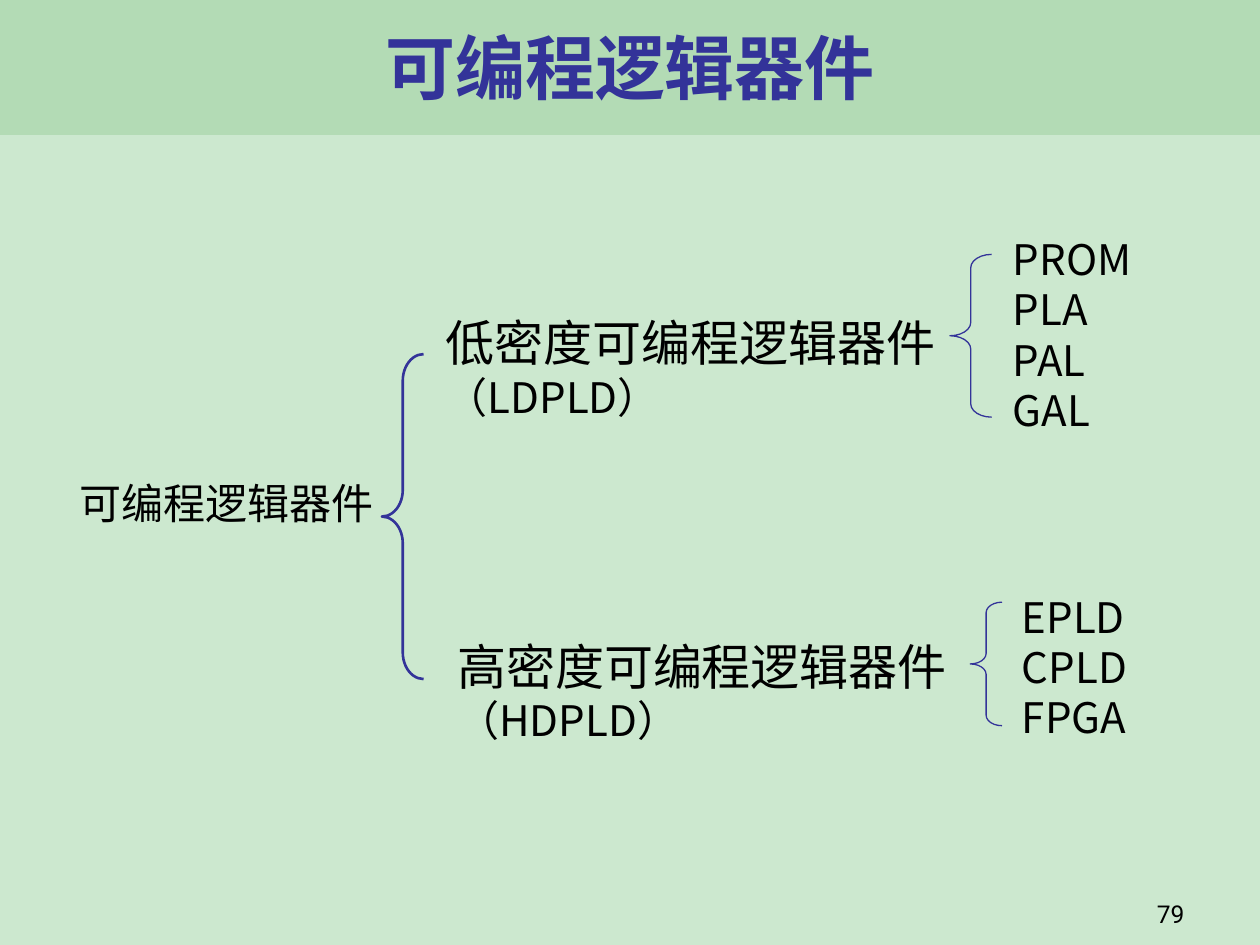
from lxml.etree import SubElement
from pptx import Presentation
from pptx.dml.color import RGBColor
from pptx.enum.shapes import MSO_SHAPE
from pptx.enum.text import MSO_ANCHOR, PP_ALIGN
from pptx.oxml.ns import qn
from pptx.util import Cm, Pt

theme = {
    "back": RGBColor.from_string("CCE8CF"),
    "band": RGBColor.from_string("B3DBB5"),
    "blue": RGBColor.from_string("333399"),
    "ink": RGBColor.from_string("000000"),
    "head": 40, "large": 28, "base": 24, "small": 14,
    "sans": "Noto Sans CJK SC", "serif": "Times New Roman", "page": "Roboto",
}


def style(para, size, face, color, align, bold=False):
    para.alignment = align
    for run in para.runs:
        form = {"size": Pt(size), "name": face, "bold": bold}
        for key, value in form.items():
            setattr(run.font, key, value)
        run.font.color.rgb = color
        SubElement(run.font._element, qn("a:ea"), typeface=theme["sans"])


def write(place, lines):
    frame = slide.shapes.add_textbox(*map(Cm, place)).text_frame
    frame.word_wrap = True
    for spot, (text, size) in enumerate(lines):
        para = frame.add_paragraph() if spot else frame.paragraphs[0]
        para.add_run().text = text
        para.line_spacing = Pt(size * 1.2)
        style(para, size, theme["sans"], theme["ink"], PP_ALIGN.JUSTIFY)


deck = Presentation()
deck.slide_width, deck.slide_height = Cm(25.4), Cm(19.05)
slide = deck.slides.add_slide(deck.slide_layouts[5])
slide.background.fill.solid()
slide.background.fill.fore_color.rgb = theme["back"]

band = slide.shapes.add_shape(MSO_SHAPE.RECTANGLE, 0, 0, deck.slide_width, Cm(2.72))
band.shadow.inherit = False
band.fill.solid()
band.fill.fore_color.rgb = theme["band"]
band.line.fill.background()

title = slide.shapes.title
slide.shapes._spTree.append(title._element)
for key, value in {"left": 0.3, "top": 0.2, "width": 24.8, "height": 2.3}.items():
    setattr(title, key, Cm(value))
title.text_frame.text = "可编程逻辑器件"
title.text_frame.vertical_anchor = MSO_ANCHOR.MIDDLE
style(title.text_frame.paragraphs[0], theme["head"], theme["serif"],
      theme["blue"], PP_ALIGN.CENTER, True)

large, base = theme["large"], theme["base"]
write((1.35, 9.5, 6.63, 1.35), [("可编程逻辑器件", base)])
for place, name, short in [
    ((8.74, 6.18, 10.82, 1.65), "低密度可编程逻辑器件", "（LDPLD）"),
    ((8.97, 12.7, 11, 1.65), "高密度可编程逻辑器件", "（HDPLD）"),
]:
    write(place, [(name, large), (short, base)])
for place, names in [
    ((20.17, 4.58, 3.4, 4.9), ["PROM", "PLA", "PAL", "GAL"]),
    ((20.35, 11.79, 3.35, 3.61), ["EPLD", "CPLD", "FPGA"]),
]:
    write(place, [(name, base) for name in names])

for place, curve, weight in [
    ((7.7, 7.14, 0.84, 6.55), 0.64, 1.5),
    ((19.15, 5.13, 0.84, 3.28), 0.32, 0.75),
    ((19.56, 12.14, 0.64, 2.49), 0.33, 0.75),
]:
    brace = slide.shapes.add_shape(MSO_SHAPE.LEFT_BRACE, *map(Cm, place))
    brace.shadow.inherit = False
    brace.adjustments[0] = curve
    brace.fill.background()
    brace.line.color.rgb = theme["blue"]
    brace.line.width = Pt(weight)

page = slide.shapes.add_textbox(*map(Cm, (18.85, 17.58, 5.28, 1.27))).text_frame
page.word_wrap = True
page.vertical_anchor = MSO_ANCHOR.BOTTOM
page.text = "79"
style(page.paragraphs[0], theme["small"], theme["page"], theme["ink"], PP_ALIGN.RIGHT)

deck.save("out.pptx")
